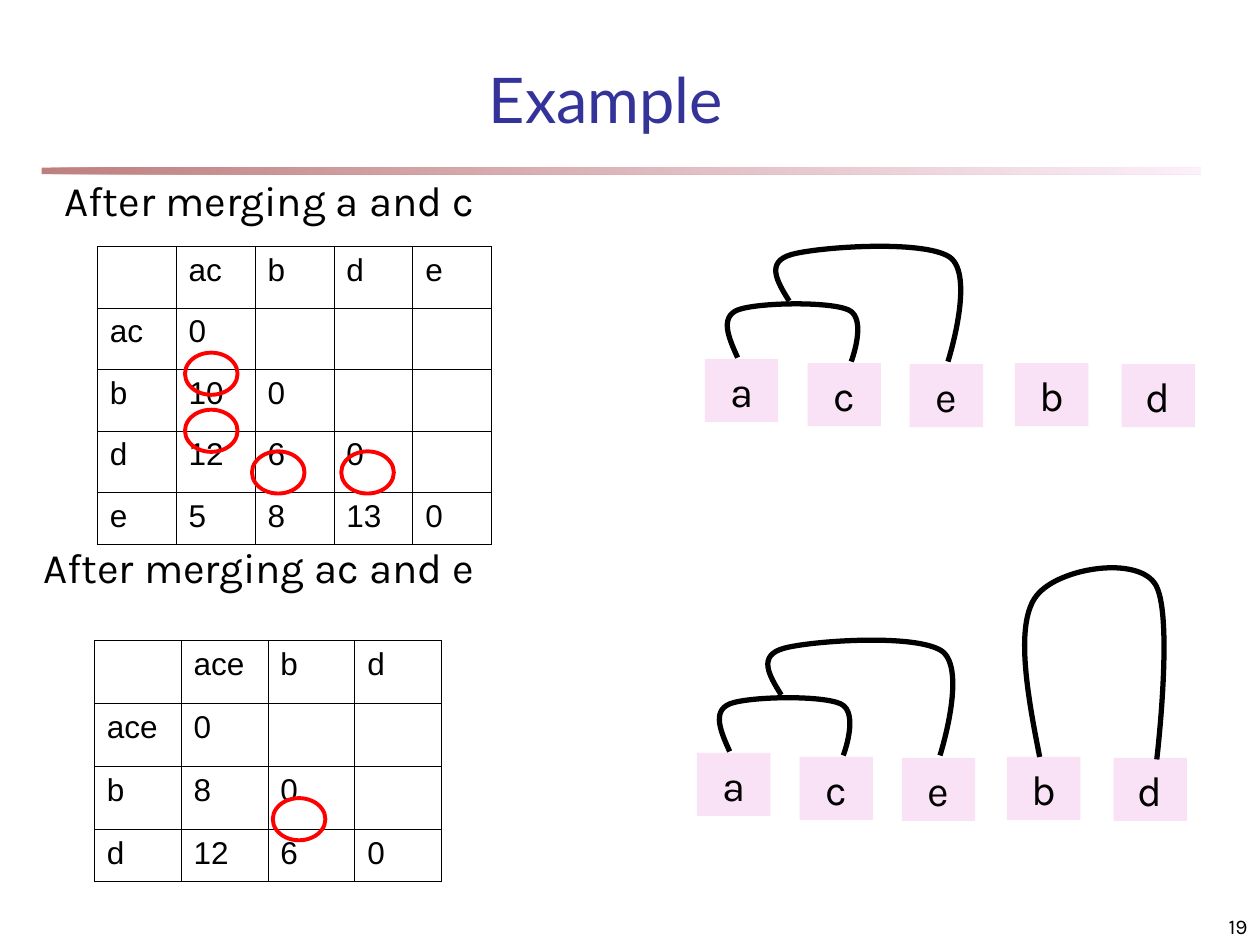
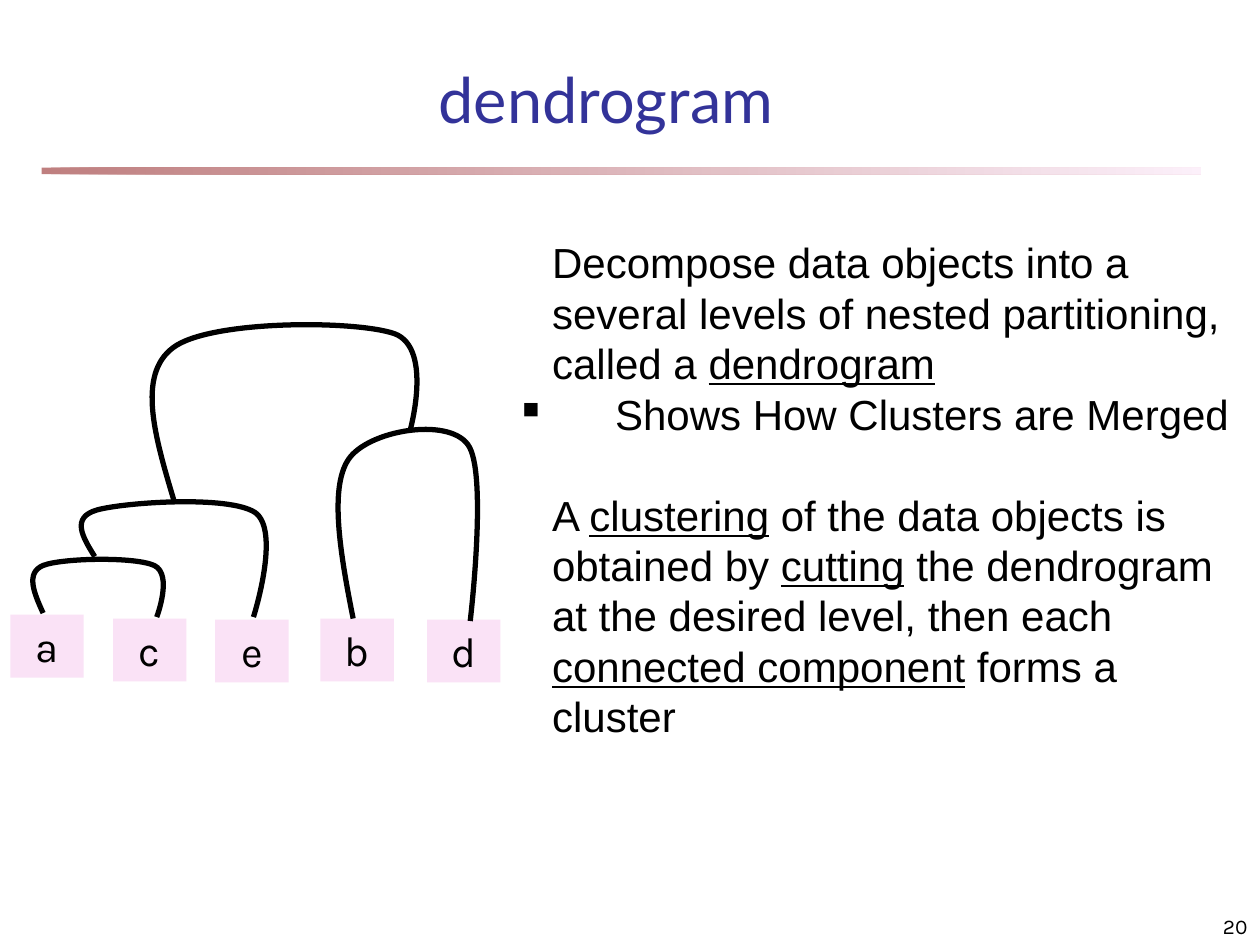
from lxml.etree import SubElement
from pptx import Presentation
from pptx.dml.color import RGBColor
from pptx.enum.shapes import MSO_SHAPE
from pptx.enum.text import MSO_ANCHOR, PP_ALIGN
from pptx.oxml.ns import qn
from pptx.util import Cm, Pt

COLORS = {
    "title": "333399",
    "text": "000000",
    "band_start": "800000",
    "pink": "FAE2F6",
    "mark": "FF0000",
}
TITLE_FONT, LABEL_FONT, BODY_FONT = "Lato", "Karla", "Arial"

# Leaf positions and link curves, in cm from the top left corner of leaf "a"
LEAVES = {"a": (0, 0), "c": (2.07, 0.08), "e": (4.13, 0.1), "b": (6.25, 0.08), "d": (8.4, 0.1)}
LINKS = {
    "a+c": [(0.66, -0.03), (0.48, -0.43), (0.3, -0.84), (0.66, -0.99), (1.04, -1.14),
            (2.51, -1.17), (2.9, -0.99), (3.28, -0.81), (2.95, 0.05), (2.95, 0.05)],
    "ac+e": [(1.7, -1.17), (1.45, -1.57), (1.22, -1.96), (1.75, -2.11), (2.29, -2.26),
             (4.39, -2.41), (4.93, -2.06), (5.46, -1.7), (4.9, 0.05), (4.9, 0.05)],
    "b+d": [(6.91, 0.08), (6.65, -1.22), (6.43, -2.54), (6.81, -3.12), (7.19, -3.71),
            (8.81, -3.99), (9.22, -3.43), (9.63, -2.9), (9.27, 0.13), (9.27, 0.13)],
    "ace+bd": [(3.3, -2.29), (2.92, -3.56), (2.54, -4.83), (3.28, -5.38), (4.01, -5.94),
               (6.96, -5.94), (7.75, -5.66), (8.53, -5.36), (8.05, -3.68), (8.05, -3.68)],
}


def rgb(name):
    return RGBColor.from_string(COLORS[name])


def format_runs(paragraph, font, size, color="text"):
    for run in paragraph.runs:
        run.font.name = font
        run.font.size = Pt(size)
        run.font.color.rgb = rgb(color)


def add_label(slide, text, box, font, size, color="text", align=PP_ALIGN.LEFT,
              anchor=MSO_ANCHOR.TOP):
    text_frame = slide.shapes.add_textbox(*map(Cm, box)).text_frame
    text_frame.word_wrap = True
    text_frame.vertical_anchor = anchor
    text_frame.text = text
    paragraph = text_frame.paragraphs[0]
    paragraph.alignment = align
    format_runs(paragraph, font, size, color)


def add_preset(slide, preset, box):
    """Add a preset shape without shadow, fill or line."""
    shape = slide.shapes.add_shape(preset, *map(Cm, box))
    shape.shadow.inherit = False
    shape.fill.background()
    shape.line.fill.background()
    return shape


def add_title_band(slide):
    band = add_preset(slide, MSO_SHAPE.RECTANGLE, (0.84, 3.38, 23.37, 0.13))
    band.fill.gradient()
    band.fill.gradient_angle = 0
    for stop, color in zip(band.fill.gradient_stops, ("band_start", "pink")):
        stop.color.rgb = rgb(color)
    for color_element in band._element.iter(qn("a:srgbClr")):
        SubElement(color_element, qn("a:alpha"), val="50000")


def add_titled_slide(presentation, title, number):
    slide = presentation.slides.add_slide(presentation.slide_layouts[6])
    add_title_band(slide)
    add_label(slide, title, (2.08, 1.37, 20.27, 1.22), TITLE_FONT, 36, "title",
              PP_ALIGN.CENTER, MSO_ANCHOR.MIDDLE)
    add_label(slide, str(number), (20.12, 17.98, 5.28, 1.07), LABEL_FONT, 12,
              align=PP_ALIGN.RIGHT, anchor=MSO_ANCHOR.BOTTOM)
    return slide


def set_cell_borders(cell):
    properties = cell._tc.get_or_add_tcPr()
    for position, side in enumerate(("lnL", "lnR", "lnT", "lnB")):
        line = properties.makeelement(qn(f"a:{side}"), {"w": str(Pt(0.45))})
        fill = SubElement(line, qn("a:solidFill"))
        SubElement(fill, qn("a:srgbClr"), val=COLORS["text"])
        properties.insert(position, line)


def add_distance_table(slide, names, distances, left, top, column_width, row_height,
                       last_row_height=1.05):
    """Add a lower triangular distance matrix; cells above the diagonal stay empty."""
    size = len(names) + 1
    height = row_height * (size - 1) + last_row_height
    table = slide.shapes.add_table(size, size, Cm(left), Cm(top),
                                   Cm(column_width * size), Cm(height)).table
    table.first_row = table.horz_banding = False
    for column in table.columns:
        column.width = Cm(column_width)
    for row in table.rows:
        row.height = Cm(row_height)
    table.rows[size - 1].height = Cm(last_row_height)

    rows = [["", *names]] + [[name, *values] for name, values in zip(names, distances)]
    for row_index, row in enumerate(rows):
        for column_index in range(size):
            cell = table.cell(row_index, column_index)
            cell.fill.background()
            set_cell_borders(cell)
            if column_index < len(row):
                cell.text_frame.text = str(row[column_index])
                format_runs(cell.text_frame.paragraphs[0], BODY_FONT, 18)


def add_mark(slide, left, top):
    ellipse = add_preset(slide, MSO_SHAPE.OVAL, (left, top, 1.06, 0.85))
    ellipse.line.color.rgb = rgb("mark")
    ellipse.line.width = Pt(2.25)


def bend_segments(freeform):
    """Turn every three line segments of an outline into one cubic curve."""
    outline = next(freeform._element.iter(qn("a:path")))
    segments = outline.findall(qn("a:lnTo"))
    for first in range(0, len(segments), 3):
        curve = SubElement(outline, qn("a:cubicBezTo"))
        for segment in segments[first:first + 3]:
            curve.append(segment[0])
            outline.remove(segment)


def add_link(slide, controls, left, top):
    points = [(Cm(left + x), Cm(top + y)) for x, y in controls]
    builder = slide.shapes.build_freeform(*points[0])
    builder.add_line_segments(points[1:], close=False)
    link = builder.convert_to_shape()
    bend_segments(link)
    link.shadow.inherit = False
    link.fill.background()
    link.line.color.rgb = rgb("text")
    link.line.width = Pt(3)


def add_dendrogram(slide, left, top, links):
    for name, (x, y) in LEAVES.items():
        leaf = add_preset(slide, MSO_SHAPE.RECTANGLE, (left + x, top + y, 1.48, 1.27))
        leaf.fill.solid()
        leaf.fill.fore_color.rgb = rgb("pink")
        leaf.text_frame.vertical_anchor = MSO_ANCHOR.TOP
        leaf.text_frame.text = name
        paragraph = leaf.text_frame.paragraphs[0]
        paragraph.alignment = PP_ALIGN.CENTER
        format_runs(paragraph, LABEL_FONT, 24)
    for link in links:
        add_link(slide, LINKS[link], left, top)


def set_indent(paragraph, margin, indent=0, bullet=None):
    properties = paragraph._p.get_or_add_pPr()
    properties.set("marL", str(Cm(margin)))
    properties.set("indent", str(Cm(indent)))
    if bullet:
        color = SubElement(properties, qn("a:buClr"))
        SubElement(color, qn("a:srgbClr"), val=COLORS["text"])
        SubElement(properties, qn("a:buSzPct"), val="55000")
        SubElement(properties, qn("a:buChar"), char=bullet)


def add_underlined_text(paragraph, marked_text):
    """Fill a paragraph; parts between underscores are underlined."""
    for index, part in enumerate(marked_text.split("_")):
        if part:
            run = paragraph.add_run()
            run.text = part
            run.font.underline = index % 2 == 1
    format_runs(paragraph, BODY_FONT, 24)


def add_explanation(slide):
    text_frame = slide.shapes.add_textbox(Cm(9.61), Cm(4.65), Cm(15.57), Cm(10.41)).text_frame
    text_frame.word_wrap = True
    definition = text_frame.paragraphs[0]
    merging = text_frame.add_paragraph()
    cutting = text_frame.add_paragraph()
    cutting.space_before = Pt(29)

    set_indent(definition, 1.27)
    set_indent(merging, 2.54, -1.87, "■")
    set_indent(cutting, 1.27)
    add_underlined_text(definition, "Decompose data objects into a several levels of nested "
                                    "partitioning, called a _dendrogram_")
    add_underlined_text(merging, "Shows How Clusters are Merged")
    add_underlined_text(cutting, "A _clustering_ of the data objects is obtained by _cutting_ "
                                 "the dendrogram at the desired level, then each "
                                 "_connected component_ forms a cluster")


def add_example_slide(presentation):
    slide = add_titled_slide(presentation, "Example", 19)
    add_distance_table(slide, ["ac", "b", "d", "e"],
                       [[0], [10, 0], [12, 6, 0], [5, 8, 13, 0]], 1.96, 4.97, 1.59, 1.24)
    add_distance_table(slide, ["ace", "b", "d"],
                       [[0], [8, 0], [12, 6, 0]], 1.9, 12.91, 1.75, 1.27)
    add_label(slide, "After merging a and c", (1.06, 3.39, 11.63, 1.27), LABEL_FONT, 24)
    add_label(slide, "After merging ac and e", (0.63, 10.8, 11.63, 1.27), LABEL_FONT, 24)
    for left, top in ((3.73, 7.11), (3.73, 8.26), (5.08, 9.1), (6.88, 9.1), (5.5, 16.09)):
        add_mark(slide, left, top)
    add_dendrogram(slide, 14.21, 7.24, ["a+c", "ac+e"])
    add_dendrogram(slide, 14.05, 15.18, ["a+c", "ac+e", "b+d"])


def add_dendrogram_slide(presentation):
    slide = add_titled_slide(presentation, "dendrogram", 20)
    add_dendrogram(slide, 0.21, 12.39, LINKS)
    add_explanation(slide)


def main():
    presentation = Presentation()
    presentation.slide_width = Cm(25.4)
    presentation.slide_height = Cm(19.05)
    add_example_slide(presentation)
    add_dendrogram_slide(presentation)
    presentation.save("out.pptx")


if __name__ == "__main__":
    main()
